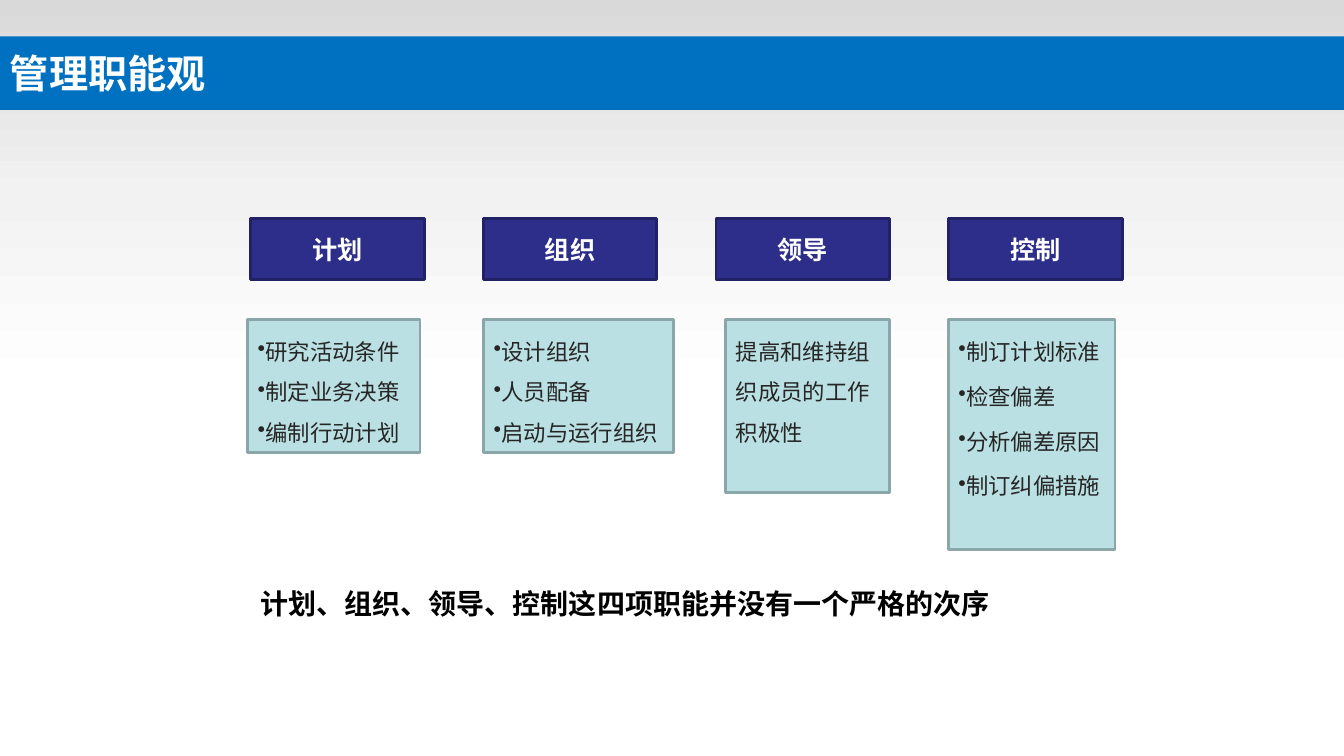
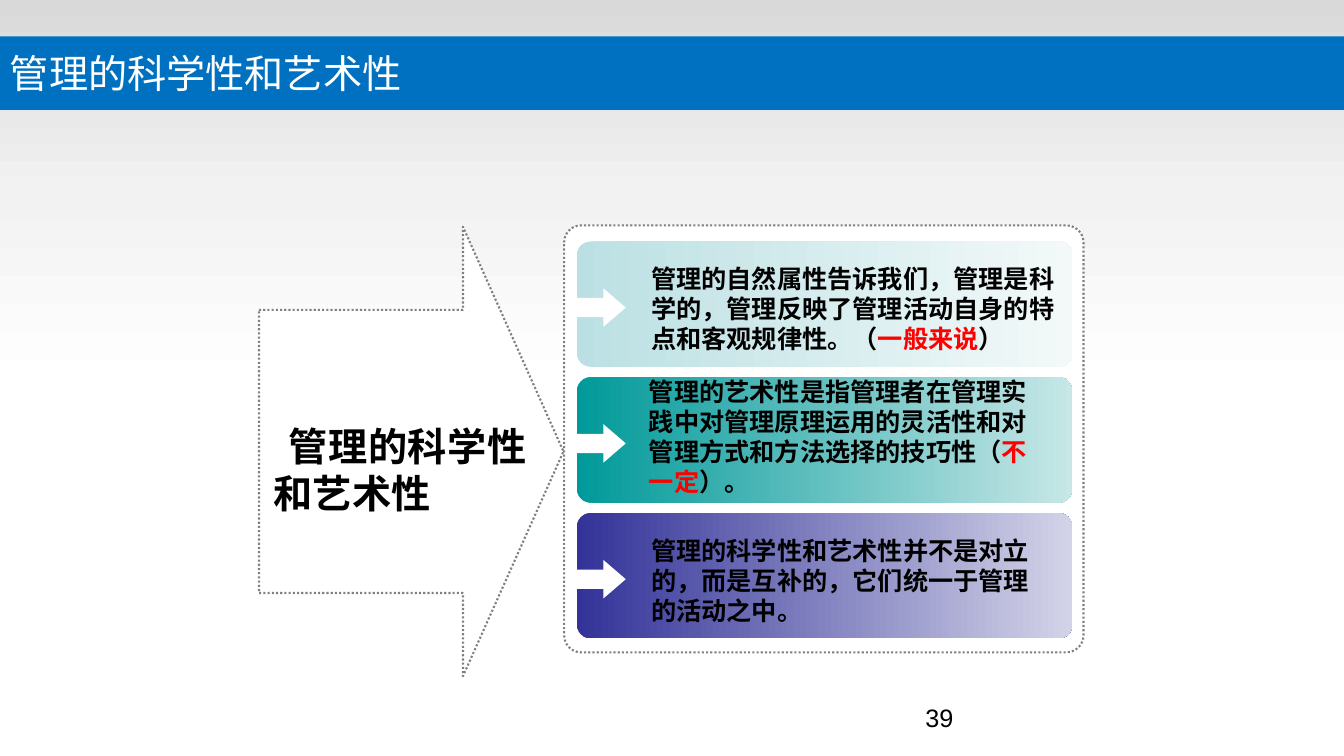
from copy import deepcopy

from lxml import etree
from pptx import Presentation
from pptx.dml.color import RGBColor
from pptx.enum import dml, shapes, text
from pptx.oxml import ns
from pptx.util import Pt

# Colours
WHITE = RGBColor(0xFF, 0xFF, 0xFF)
BLACK = RGBColor(0x00, 0x00, 0x00)
RED = RGBColor(0xFF, 0x00, 0x00)
INK = RGBColor(0x26, 0x26, 0x26)
BAND_BLUE = RGBColor(0x00, 0x70, 0xC0)
SILVER = RGBColor(0xD9, 0xD9, 0xD9)
PALE_GREY = RGBColor(0xF2, 0xF2, 0xF2)
DOT_GREY = RGBColor(0x80, 0x80, 0x80)
NAVY = RGBColor(0x2D, 0x2D, 0x8A)
NAVY_EDGE = RGBColor(0x21, 0x21, 0x66)
ICE = RGBColor(0xBB, 0xE0, 0xE3)
ICE_EDGE = RGBColor(0x8A, 0xA6, 0xA8)
ICE_END = RGBColor(0xF3, 0xF9, 0xF9)
TEAL = RGBColor(0x00, 0x99, 0x99)
TEAL_END = RGBColor(0xC8, 0xE7, 0xE7)
INDIGO = RGBColor(0x33, 0x33, 0x99)
INDIGO_END = RGBColor(0xD3, 0xD3, 0xE8)

CJK, LATIN, ROUNDED, MONO = "Noto Sans CJK SC", "Arial", "Lato", "DejaVu Sans Mono"
WIDTH, HEIGHT = 960, 540
RECT = shapes.MSO_SHAPE.RECTANGLE
ROUND_RECT = shapes.MSO_SHAPE.ROUNDED_RECTANGLE
ARROW = shapes.MSO_SHAPE.RIGHT_ARROW


class Deck:
    """Shared style and the slide being drawn."""

    def __init__(self):
        self.prs = Presentation()
        self.prs.slide_width, self.prs.slide_height = Pt(WIDTH), Pt(HEIGHT)
        self.slide = None

    def new_slide(self, title, bold=False):
        self.slide = self.prs.slides.add_slide(self.prs.slide_layouts[6])
        self.shape(RECT, 0, 0, WIDTH, 276, [SILVER, PALE_GREY, WHITE], angle=270)
        self.shape(RECT, 0, 55, WIDTH, 17, SILVER)
        band = self.shape(RECT, 0, 26, WIDTH, 52.5, BAND_BLUE)
        self.set_text(band, [title], 28, CJK, WHITE, bold, anchor=text.MSO_ANCHOR.MIDDLE)

    def shape(self, kind, left, top, width, height, fill, edge=None,
              edge_width=2, dash=None, adj=(), angle=0):
        """Preset shape; a list of colours as fill makes an even gradient."""
        shape = self.slide.shapes.add_shape(
            kind, Pt(left), Pt(top), Pt(width), Pt(height))
        shape.shadow.inherit = False
        for index, value in enumerate(adj):
            shape.adjustments[index] = value
        if isinstance(fill, list):
            self.gradient(shape, fill, angle)
        else:
            shape.fill.solid()
            shape.fill.fore_color.rgb = fill
        if edge is None:
            shape.line.fill.background()
        else:
            shape.line.color.rgb = edge
            shape.line.width = Pt(edge_width)
            if dash:
                shape.line.dash_style = dash
        return shape

    def gradient(self, shape, colours, angle):
        shape.fill.gradient()
        shape.fill.gradient_angle = angle
        stop_list = shape._element.spPr.find(".//" + ns.qn("a:gsLst"))
        while len(stop_list) < len(colours):
            stop_list.append(deepcopy(stop_list[-1]))
        for index, (stop, colour) in enumerate(zip(shape.fill.gradient_stops, colours)):
            stop.position = index / (len(colours) - 1)
            stop.color.rgb = colour

    def text_box(self, left, top, width, height, lines, size, font, **style):
        box = self.slide.shapes.add_textbox(Pt(left), Pt(top), Pt(width), Pt(height))
        self.set_text(box, lines, size, font, **style)

    def set_text(self, shape, lines, size, font, colour=BLACK, bold=False,
                 align=text.PP_ALIGN.LEFT, anchor=text.MSO_ANCHOR.TOP,
                 spacing=None, before=0, bullet=False, indent=None):
        """One paragraph per line; a tuple line holds runs, every second one red."""
        frame = shape.text_frame
        frame.word_wrap = True
        frame.vertical_anchor = anchor
        for index, line in enumerate(lines):
            paragraph = frame.add_paragraph() if index else frame.paragraphs[0]
            paragraph.alignment = align
            paragraph.space_before = Pt(before)
            if spacing:
                paragraph.line_spacing = spacing
            face = paragraph.font
            face.size, face.name, face.bold = Pt(size), font, bold
            face.color.rgb = colour
            props = paragraph._p.pPr
            defaults = props.find(ns.qn("a:defRPr"))
            etree.SubElement(defaults, ns.qn("a:ea"), typeface=ROUNDED)
            if bullet:
                mark = etree.Element(ns.qn("a:buChar"), char="•")
                defaults.addprevious(mark)
            if indent:
                props.set("marL", str(Pt(indent[0])))
                props.set("indent", str(Pt(indent[1])))
            for part, wording in enumerate((line,) if isinstance(line, str) else line):
                run = paragraph.add_run()
                run.text = wording
                if part % 2:
                    run.font.color.rgb = RED


def functions_slide(deck):
    deck.new_slide("管理职能观", bold=True)

    # Function headings
    for column, heading in enumerate(("计划", "组织", "领导", "控制")):
        head = deck.shape(RECT, 179 + 166.2 * column, 156, 124, 44, NAVY, NAVY_EDGE)
        deck.set_text(head, [heading], 18, LATIN, WHITE, True,
                      text.PP_ALIGN.CENTER, text.MSO_ANCHOR.MIDDLE)

    # Task cards: left, width, height, space before, bullets, lines
    cards = [
        (177, 123, 94.5, 0, True, ["研究活动条件", "制定业务决策", "编制行动计划"]),
        (345.5, 135.5, 94.5, 0, True, ["设计组织", "人员配备", "启动与运行组织"]),
        (518.5, 117, 123.5, 3.2, False, ["提高和维持组织成员的工作积极性"]),
        (677.5, 119, 164, 3.2, True,
         ["制订计划标准", "检查偏差", "分析偏差原因", "制订纠偏措施"]),
    ]
    for left, width, height, before, bullet, tasks in cards:
        card = deck.shape(RECT, left, 228.5, width, height, ICE, ICE_EDGE)
        deck.set_text(card, tasks, 16, CJK, INK, spacing=1.5, before=before, bullet=bullet)

    # Conclusion
    deck.text_box(179, 415.5, 554, 32,
                  ["计划、组织、领导、控制这四项职能并没有一个严格的次序"],
                  20, MONO, bold=True)


def science_and_art_slide(deck):
    deck.new_slide("管理的科学性和艺术性")
    deck.text_box(654, 498, 150, 36, ["39"], 18, LATIN)

    # Topic arrow and frame
    dotted = dict(edge=DOT_GREY, edge_width=1.5, dash=dml.MSO_LINE.ROUND_DOT)
    deck.shape(ARROW, 185, 162, 217.5, 321, WHITE, adj=(0.63, 0.33), **dotted)
    deck.text_box(179, 298, 204.5, 74, ["管理的科学性和艺术性"], 28, ROUNDED, bold=True,
                  align=text.PP_ALIGN.JUSTIFY, indent=(9.5, 10.5))
    deck.shape(ROUND_RECT, 403, 161, 371, 305, WHITE, adj=(0.04,), **dotted)

    # Statements: gradient, text left, top, width, runs
    statements = [
        ([ICE, ICE_END], 458, 184.5, 316,
         ("管理的自然属性告诉我们，管理是科学的，管理反映了管理活动自身的特点和客观规律性。（",
          "一般来说", "）")),
        ([TEAL, TEAL_END], 456.5, 265, 293,
         ("管理的艺术性是指管理者在管理实践中对管理原理运用的灵活性和对管理方式和方法选择的技巧性（",
          "不一定", "）。")),
        ([INDIGO, INDIGO_END], 458, 378.5, 293,
         "管理的科学性和艺术性并不是对立的，而是互补的，它们统一于管理的活动之中。"),
    ]
    for row, (colours, left, top, width, statement) in enumerate(statements):
        offset = 97 * row
        deck.shape(ROUND_RECT, 412, 172.5 + offset, 354, 89.5, colours, adj=(0.11,))
        deck.shape(ARROW, 408, 206 + offset, 39, 27.5, WHITE, adj=(0.5, 0.58))
        deck.text_box(left, top, width, 72, [statement], 18, LATIN, bold=True)


def main():
    deck = Deck()
    functions_slide(deck)
    science_and_art_slide(deck)
    deck.prs.save("out.pptx")


if __name__ == "__main__":
    main()
